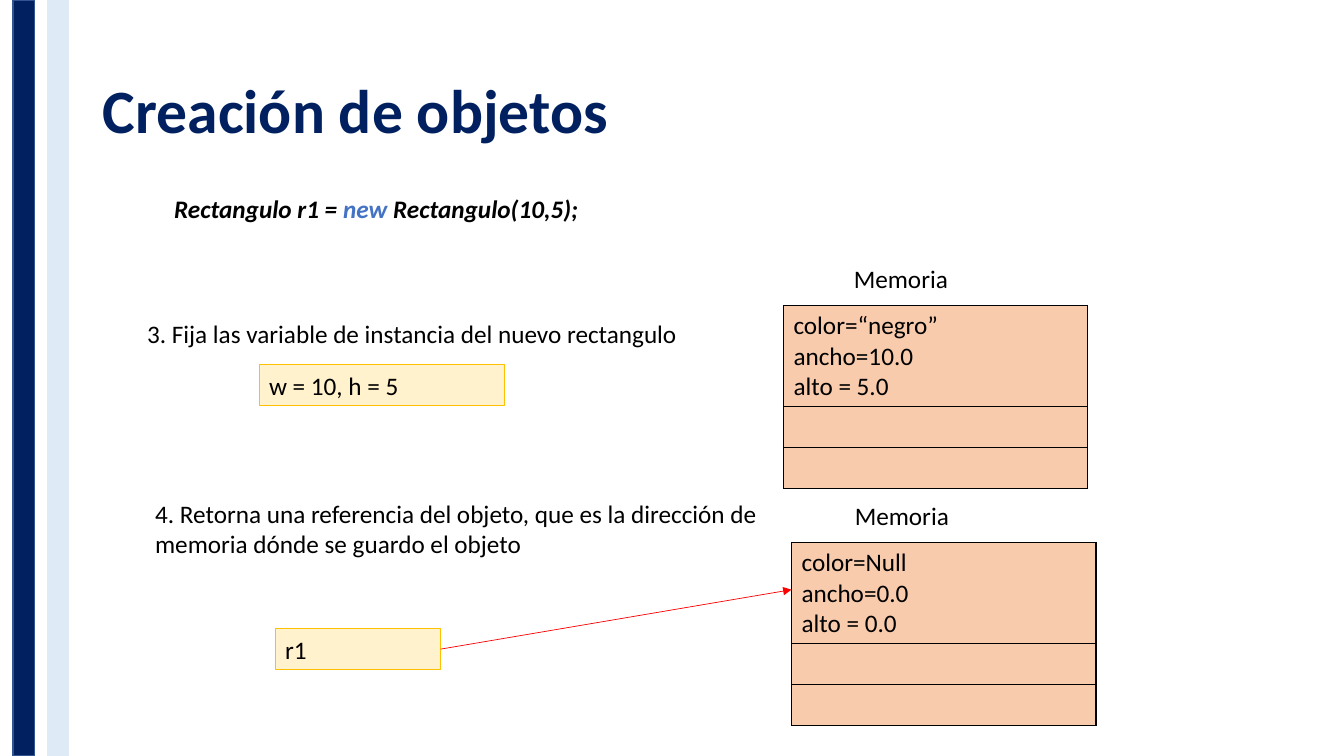
from dataclasses import dataclass

from lxml.etree import SubElement
from pptx import Presentation
from pptx.dml.color import RGBColor as Rgb
from pptx.enum.shapes import MSO_CONNECTOR as Connector, MSO_SHAPE as Shape
from pptx.enum.text import MSO_ANCHOR as Anchor, MSO_AUTO_SIZE as AutoSize, PP_ALIGN as Align
from pptx.oxml.ns import qn
from pptx.util import Inches, Pt


@dataclass(frozen=True)
class Theme:
    """Colours, font and type sizes of the slide."""
    font: str = "Calibri"
    title_size: int = 44
    body_size: int = 18
    navy: str = "002060"
    navy_edge: str = "325491"
    pale_blue: str = "DEEBF7"
    keyword: str = "4472C4"
    text: str = "000000"
    memory: str = "F8CBAD"
    value: str = "FFF2CC"
    value_edge: str = "FFC000"
    arrow: str = "FF0000"


THEME = Theme()


def set_attributes(target, values):
    """Set each named attribute of the target."""
    for name, value in values.items():
        setattr(target, name, value)


def add_span(para, text, color=THEME.text, **extra):
    """Add a formatted run to a paragraph."""
    span = para.add_run()
    span.text = text
    values = {"name": THEME.font, "size": Pt(THEME.body_size), **extra}
    set_attributes(span.font, values)
    span.font.color.rgb = Rgb.from_string(color)


def fill_frame(frame, spans, **extra):
    """Write (text, colour) spans into a wrapped, top-anchored frame."""
    values = {"word_wrap": True, "auto_size": AutoSize.SHAPE_TO_FIT_TEXT,
              "vertical_anchor": Anchor.TOP}
    set_attributes(frame, values)
    para = frame.paragraphs[0]
    para.alignment = Align.LEFT
    for text, color in spans:
        add_span(para, text, color, **extra)


def add_title(page, text):
    """Place and format the title placeholder."""
    title = page.shapes.title
    place = {"left": Inches(0.92), "top": Inches(0.4),
             "width": Inches(11.5), "height": Inches(1.45)}
    set_attributes(title, place)
    title.text_frame.vertical_anchor = Anchor.MIDDLE
    para = title.text_frame.paragraphs[0]
    set_attributes(para, {"alignment": Align.LEFT, "line_spacing": 0.9})
    add_span(para, text, THEME.navy, size=Pt(THEME.title_size), bold=True)


def add_label(page, left, top, width, height, spans, **extra):
    """Add a text box made of (text, colour) spans."""
    box = page.shapes.add_textbox(*map(Inches, (left, top, width, height)))
    fill_frame(box.text_frame, spans, **extra)


def add_block(page, left, top, width, height, fill, edge, weight):
    """Add a flat outlined rectangle."""
    block = page.shapes.add_shape(Shape.RECTANGLE, *map(Inches, (left, top, width, height)))
    block.shadow.inherit = False
    block.fill.solid()
    block.fill.fore_color.rgb = Rgb.from_string(fill)
    block.line.color.rgb = Rgb.from_string(edge)
    block.line.width = Pt(weight)
    return block


def add_value(page, left, top, width, text):
    """Add a yellow box that holds a value."""
    block = add_block(page, left, top, width, 0.4, THEME.value, THEME.value_edge, 0.75)
    fill_frame(block.text_frame, [(text, THEME.text)])
    return block


def outline_cell(cell):
    """Draw a black line on every side of a cell."""
    props = cell._tc.get_or_add_tcPr()
    for index, side in enumerate(("lnL", "lnR", "lnT", "lnB")):
        line = props.makeelement(qn(f"a:{side}"), {"w": str(Pt(1))})
        props.insert(index, line)
        solid = SubElement(line, qn("a:solidFill"))
        SubElement(solid, qn("a:srgbClr"), val=THEME.text)


def add_memory(page, left, top, fields):
    """Add a memory table with the object's fields in its first cell."""
    heights = (1.0, 0.41, 0.41)
    frame = page.shapes.add_table(len(heights), 1, Inches(left), Inches(top),
                                  Inches(3.02), Inches(sum(heights)))
    table = frame.table
    for row, height in zip(table.rows, heights):
        row.height = Inches(height)
        cell = row.cells[0]
        cell.fill.solid()
        cell.fill.fore_color.rgb = Rgb.from_string(THEME.memory)
        outline_cell(cell)
    frame = table.cell(0, 0).text_frame
    for index, field in enumerate(fields):
        para = frame.add_paragraph() if index else frame.paragraphs[0]
        add_span(para, field, bold=False)


def add_reference(page, source, x, y):
    """Draw an arrow from the right side of a box to a point."""
    arrow = page.shapes.add_connector(Connector.STRAIGHT, 0, 0, Inches(x), Inches(y))
    arrow.begin_connect(source, 3)
    arrow.line.color.rgb = Rgb.from_string(THEME.arrow)
    arrow.line.width = Pt(0.5)
    SubElement(arrow.line._get_or_add_ln(), qn("a:tailEnd"), type="triangle")
    SubElement(arrow._element.spPr, qn("a:effectLst"))


def main():
    """Build the slide on object creation."""
    deck = Presentation()
    set_attributes(deck, {"slide_width": Inches(13.33), "slide_height": Inches(7.5)})
    page = deck.slides.add_slide(deck.slide_layouts[5])

    add_block(page, 0.13, 0, 0.21, 7.5, THEME.navy, THEME.navy_edge, 1)
    add_block(page, 0.47, 0, 0.21, 7.5, THEME.pale_blue, THEME.pale_blue, 1)
    add_title(page, "Creación de objetos")

    code = [("Rectangulo r1 = ", THEME.text), ("new ", THEME.keyword),
            ("Rectangulo(10,5);", THEME.text)]
    add_label(page, 1.63, 1.87, 6.33, 0.4, code, bold=True, italic=True)

    labels = (
        (8.37, 2.56, 1.73, 0.4, "Memoria"),
        (8.38, 4.91, 1.73, 0.4, "Memoria"),
        (1.36, 3.11, 6.41, 0.4, "3. Fija las variable de instancia del nuevo rectangulo"),
        (1.44, 4.89, 6.41, 0.71, "4. Retorna una referencia del objeto, que es la dirección "
                                 "de memoria dónde se guardo el objeto"),
    )
    for *place, text in labels:
        add_label(page, *place, [(text, THEME.text)])

    add_memory(page, 7.77, 3.03, ("color=“negro”", "ancho=10.0", "alto = 5.0"))
    add_memory(page, 7.85, 5.38, ("color=Null", "ancho=0.0", "alto = 0.0"))

    add_value(page, 2.57, 3.62, 2.43, "w = 10, h = 5")
    variable = add_value(page, 2.73, 6.24, 1.64, "r1")
    add_reference(page, variable, 7.85, 5.85)

    deck.save("out.pptx")


if __name__ == "__main__":
    main()
